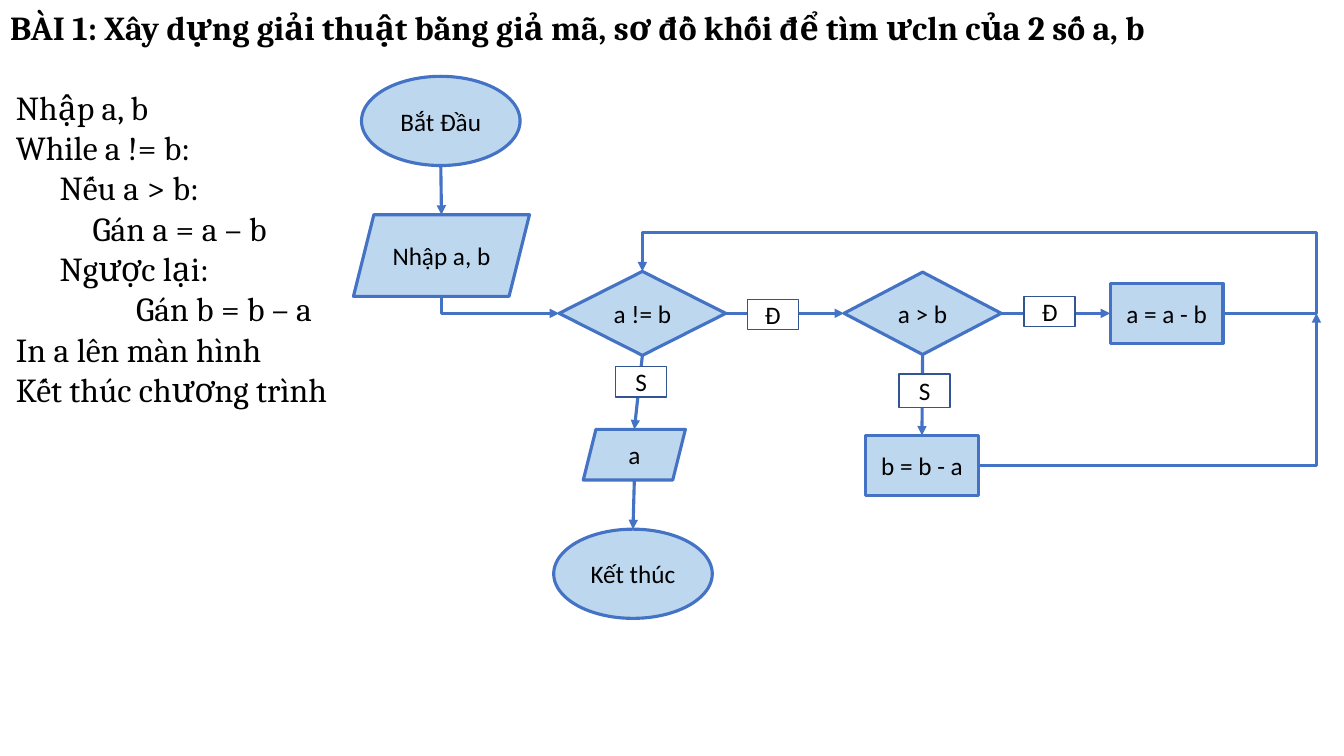
from lxml.etree import SubElement
from pptx import Presentation
from pptx.dml.color import RGBColor as RGB
from pptx.enum.shapes import MSO_CONNECTOR as LINK, MSO_SHAPE as SHAPE
from pptx.enum.text import MSO_ANCHOR as ANCHOR, PP_ALIGN as ALIGN
from pptx.oxml.ns import qn
from pptx.util import Inches, Pt

THEME = {
    "node": {"fill": RGB(0xBD, 0xD7, 0xEE), "line": RGB(0x44, 0x72, 0xC4), "width": Pt(2.25)},
    "label": {"fill": RGB(0xFF, 0xFF, 0xFF), "line": RGB(0x32, 0x54, 0x91), "width": Pt(1)},
    "title": {"name": "Cambria", "size": Pt(24), "bold": True},
    "code": {"name": "Cambria", "size": Pt(24), "bold": False},
    "flow": {"name": "Calibri", "size": Pt(18), "bold": False},
    "ink": RGB(0, 0, 0),
}

prs = Presentation()
prs.slide_width, prs.slide_height = Inches(13.333), Inches(7.5)
X, Y = prs.slide_width / 100, prs.slide_height / 100  # one percent of the slide
s = prs.slides.add_slide(prs.slide_layouts[5])


def write(p, text, style, align=ALIGN.LEFT):
    p.alignment = align
    r = p.add_run()
    r.text = text
    for name, value in THEME[style].items():
        setattr(r.font, name, value)
    r.font.color.rgb = THEME["ink"]


def connect(start, end, preset=None, adjust=(), turned=False):
    """Draw an arrow between two points in percent; turned lays an elbow out at 270 degrees."""
    (x1, y1), (x2, y2) = [(int(x * X), int(y * Y)) for x, y in (start, end)]
    if turned:
        cx, cy, w, h = (x1 + x2) // 2, (y1 + y2) // 2, x2 - x1, y2 - y1
        x1, y1, x2, y2 = cx + h // 2, cy - w // 2, cx - h // 2, cy + w // 2
    kind = LINK.ELBOW if preset else LINK.STRAIGHT
    sp = s.shapes.add_connector(kind, x1, y1, x2, y2)
    sp.line.color.rgb, sp.line.width = THEME["node"]["line"], THEME["node"]["width"]
    props = sp._element.spPr
    if preset:
        geom = props.find(qn("a:prstGeom"))
        geom.set("prst", preset)
        guides = geom.get_or_add_avLst()
        for i, share in enumerate(adjust, 1):
            SubElement(guides, qn("a:gd"), name=f"adj{i}", fmla=f"val {round(share * 100000)}")
    if turned:
        props.find(qn("a:xfrm")).set("rot", str(270 * 60000))
    SubElement(props.find(qn("a:ln")), qn("a:tailEnd"), type="triangle")
    SubElement(props, qn("a:effectLst"))


# Flowchart boxes: shape, style, text, left, top, width, height in percent
OVAL, BOX = (11.8, 11.8), (8.4, 7.9)
BOXES = {
    "start": (SHAPE.OVAL, "node", "Bắt Đầu", 26.9, 10.1, *OVAL),
    "input": (SHAPE.PARALLELOGRAM, "node", "Nhập a, b", 26.3, 28.4, 13.1, 10.8),
    "differ": (SHAPE.FLOWCHART_DECISION, "node", "a != b", 41.6, 35.9, 12.4, 11.1),
    "greater": (SHAPE.FLOWCHART_DECISION, "node", "a > b", 62.8, 36, 11.7, 10.9),
    "cut a": (SHAPE.RECTANGLE, "node", "a = a - b", 82.6, 37.5, *BOX),
    "cut b": (SHAPE.RECTANGLE, "node", "b = b - a", 64.4, 57.6, *BOX),
    "output": (SHAPE.PARALLELOGRAM, "node", "a", 43.4, 56.8, 7.6, 6.7),
    "end": (SHAPE.OVAL, "node", "Kết thúc", 41.2, 70, *OVAL),
    "differ yes": (SHAPE.RECTANGLE, "label", "Đ", 55.6, 39.6, 3.8, 4),
    "greater yes": (SHAPE.RECTANGLE, "label", "Đ", 76.2, 39.2, 3.8, 4),
    "differ no": (SHAPE.RECTANGLE, "label", "S", 45.8, 48.5, 3.8, 4),
    "greater no": (SHAPE.RECTANGLE, "label", "S", 66.9, 49.5, 3.8, 4.4),
}
ports = {}
for name, (*_, x, y, w, h) in BOXES.items():
    ports[name] = {"top": (x + w / 2, y), "bottom": (x + w / 2, y + h),
                   "left": (x, y + h / 2), "right": (x + w, y + h / 2)}

# Straight arrows, drawn first so that the labels cover them
for a, b, out, into in [
    ("start", "input", "bottom", "top"),
    ("differ", "greater", "right", "left"),
    ("greater", "cut a", "right", "left"),
    ("differ", "output", "bottom", "top"),
    ("greater", "cut b", "bottom", "top"),
    ("output", "end", "bottom", "top"),
]:
    connect(ports[a][out], ports[b][into])

# Elbow arrows; the way back runs along the right edge and above the boxes
EDGE, ROOF = 97.95, 30.8
back, loop = ports["cut a"]["right"], ports["differ"]["top"]
connect(ports["input"]["bottom"], ports["differ"]["left"], "bentConnector2", turned=True)
connect(back, loop, "bentConnector4",
        [(EDGE - back[0]) / (loop[0] - back[0]), (ROOF - back[1]) / (loop[1] - back[1])])
connect(ports["cut b"]["right"], (EDGE, back[1]), "bentConnector3", [1])

for kind, style, text, x, y, w, h in BOXES.values():
    sp = s.shapes.add_shape(kind, int(x * X), int(y * Y), int(w * X), int(h * Y))
    sp.shadow.inherit = False
    sp.fill.solid()
    sp.fill.fore_color.rgb = THEME[style]["fill"]
    sp.line.color.rgb, sp.line.width = THEME[style]["line"], THEME[style]["width"]
    tf = sp.text_frame
    tf.word_wrap, tf.vertical_anchor = True, ANCHOR.MIDDLE
    write(tf.paragraphs[0], text, "flow", ALIGN.CENTER)

# Pseudocode: indent in percent of the slide's width, text
CODE = [
    (0, "Nhập a, b"),
    (0, "While a != b:"),
    (3.25, "Nếu a > b:"),
    (5.7, "Gán a = a – b"),
    (3.25, "Ngược lại:"),
    (8.95, "Gán b = b – a"),
    (0, "In a lên màn hình"),
    (0, "Kết thúc chương trình"),
]
tf = s.shapes.add_textbox(int(0.45 * X), int(10.8 * Y), int(25 * X), int(44.4 * Y)).text_frame
tf.word_wrap = True
for i, (indent, text) in enumerate(CODE):
    p = tf.add_paragraph() if i else tf.paragraphs[0]
    p._p.get_or_add_pPr().set("marL", str(int(indent * X)))
    write(p, text, "code")

title = s.shapes.title
title.left, title.top, title.width, title.height = 0, int(0.3 * Y), int(94.6 * X), int(6.7 * Y)
tf = title.text_frame
tf.word_wrap, tf.vertical_anchor = True, ANCHOR.TOP
write(tf.paragraphs[0], "BÀI 1: Xây dựng giải thuật bằng giả mã, sơ đồ khối để tìm ưcln của 2 số a, b", "title")

prs.save("out.pptx")
